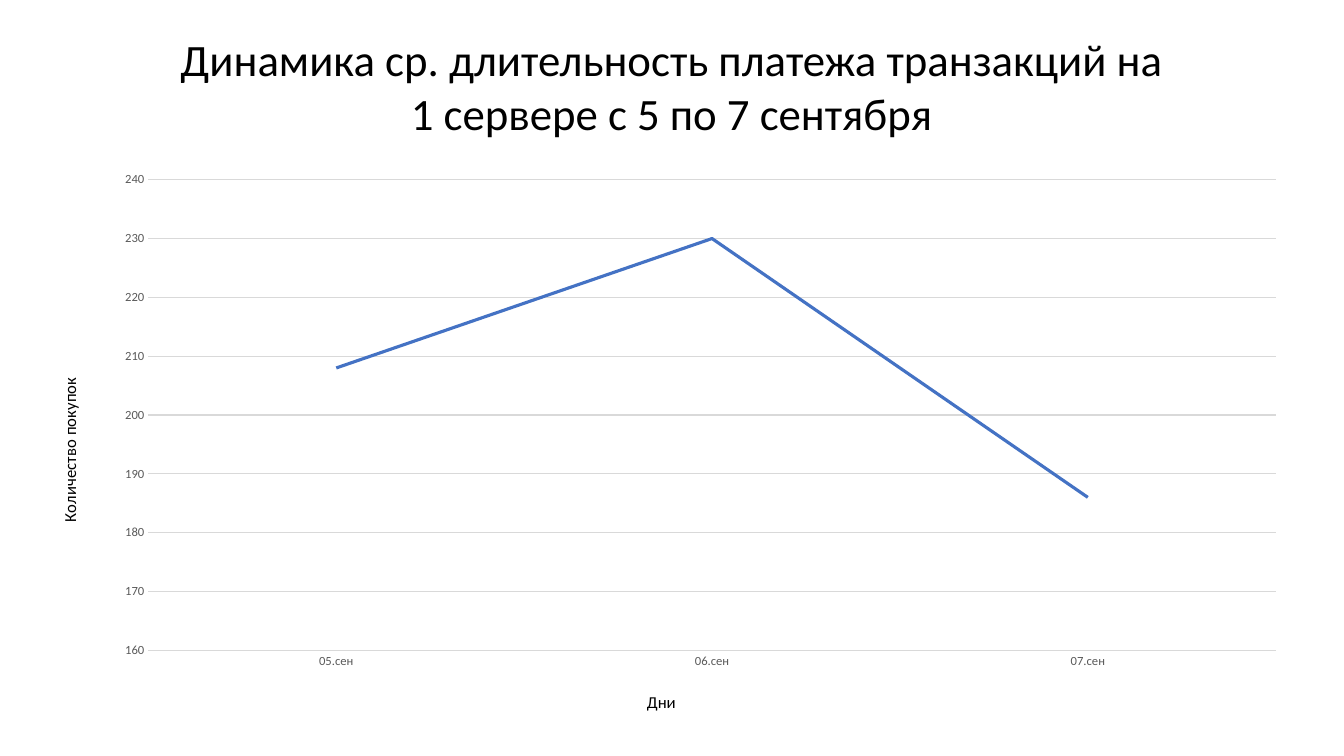
from lxml import etree
from pptx import Presentation
from pptx.chart.data import CategoryChartData
from pptx.dml.color import RGBColor
from pptx.enum.chart import XL_CHART_TYPE, XL_TICK_MARK
from pptx.enum.text import MSO_ANCHOR, MSO_AUTO_SIZE, PP_ALIGN
from pptx.oxml import parse_xml
from pptx.oxml.ns import nsdecls, qn
from pptx.util import Emu, Pt

HEAD = "Динамика ср. длительность платежа транзакций на 1 сервере с 5 по 7 сентября"
DAYS = ["05.сен", "06.сен", "07.сен"]
VALUES = [208, 230, 186]
SIZE = (1344, 756)
HEAD_BOX = (158, 27, 1028, 119)
CHART_BOX = (43, 165, 1239, 553)
PLOT = {"x": 0.085, "y": 0.027, "w": 0.91, "h": 0.859}
DAY_AXIS = {"text": "Дни", "place": {"x": 0.485, "y": 0.955}, "turn": 0}
COUNT_AXIS = {"text": "Количество покупок", "place": {"x": 0.01, "y": 0.385},
              "turn": -5400000}
SCALE = {"minimum_scale": 160, "maximum_scale": 240, "major_unit": 10}

FONT = "Calibri"
BLACK = RGBColor(0x00, 0x00, 0x00)
GRAY = RGBColor(0x59, 0x59, 0x59)
PALE = RGBColor(0xD9, 0xD9, 0xD9)
BLUE = RGBColor(0x44, 0x72, 0xC4)


def px(n):
    return Emu(round(n * 914400 / 100.8))


def style(font, size, color):
    for name, value in {"name": FONT, "size": Pt(size), "bold": False}.items():
        setattr(font, name, value)
    font.color.rgb = color


def stroke(line, color, width):
    line.color.rgb = color
    line.width = Pt(width)


def place(node, spot, index):
    """Give a chart part a fixed layout, in fractions of the chart."""
    for old in node.findall(qn("c:layout")):
        node.remove(old)
    layout = parse_xml(f"<c:layout {nsdecls('c')}/>")
    manual = etree.SubElement(layout, qn("c:manualLayout"))
    rules = {"xMode": "edge", "yMode": "edge", **spot}
    if "w" in spot:
        rules = {"layoutTarget": "inner", **rules}
    for name, value in rules.items():
        etree.SubElement(manual, qn(f"c:{name}")).set("val", str(value))
    node.insert(index, layout)


def set_axis(axis, info):
    axis.major_tick_mark = axis.minor_tick_mark = XL_TICK_MARK.NONE
    style(axis.tick_labels.font, 9, GRAY)
    frame = axis.axis_title.text_frame
    frame.text = info["text"]
    style(frame.paragraphs[0].runs[0].font, 12, BLACK)
    node = axis.axis_title._element
    body = node.find(".//" + qn("a:bodyPr"))
    body.set("rot", str(info["turn"]))
    body.set("vert", "horz")
    place(node, info["place"], 1)


def add_head(slide):
    title = slide.shapes.title
    title.left, title.top, title.width, title.height = map(px, HEAD_BOX)
    frame = title.text_frame
    frame.text = HEAD
    looks = {"word_wrap": True, "vertical_anchor": MSO_ANCHOR.TOP,
             "auto_size": MSO_AUTO_SIZE.SHAPE_TO_FIT_TEXT}
    for name, value in looks.items():
        setattr(frame, name, value)
    para = frame.paragraphs[0]
    para.alignment = PP_ALIGN.CENTER
    para.line_spacing = 1.0
    style(para.runs[0].font, 32, BLACK)


def add_graph(slide):
    data = CategoryChartData(number_format="0")
    data.categories = DAYS
    data.add_series("Series 1", VALUES)
    chart = slide.shapes.add_chart(
        XL_CHART_TYPE.LINE, *map(px, CHART_BOX), data).chart
    chart.has_legend = chart.has_title = False
    style(chart.font, 10, BLACK)

    plot = chart.plots[0]
    plot.vary_by_categories = False
    series = plot.series[0]
    series.smooth = False
    stroke(series.format.line, BLUE, 2.25)

    days, counts = chart.category_axis, chart.value_axis
    set_axis(days, DAY_AXIS)
    set_axis(counts, COUNT_AXIS)
    stroke(days.format.line, PALE, 0.75)
    counts.format.line.fill.background()
    for name, value in SCALE.items():
        setattr(counts, name, value)
    counts.tick_labels.number_format = "0"
    counts.tick_labels.number_format_is_linked = False
    counts.has_major_gridlines = True
    stroke(counts.major_gridlines.format.line, PALE, 0.75)
    place(chart._chartSpace.find(".//" + qn("c:plotArea")), PLOT, 0)


def main():
    deck = Presentation()
    deck.slide_width, deck.slide_height = map(px, SIZE)
    slide = deck.slides.add_slide(deck.slide_layouts[5])
    add_graph(slide)
    add_head(slide)
    deck.save("out.pptx")


if __name__ == "__main__":
    main()
